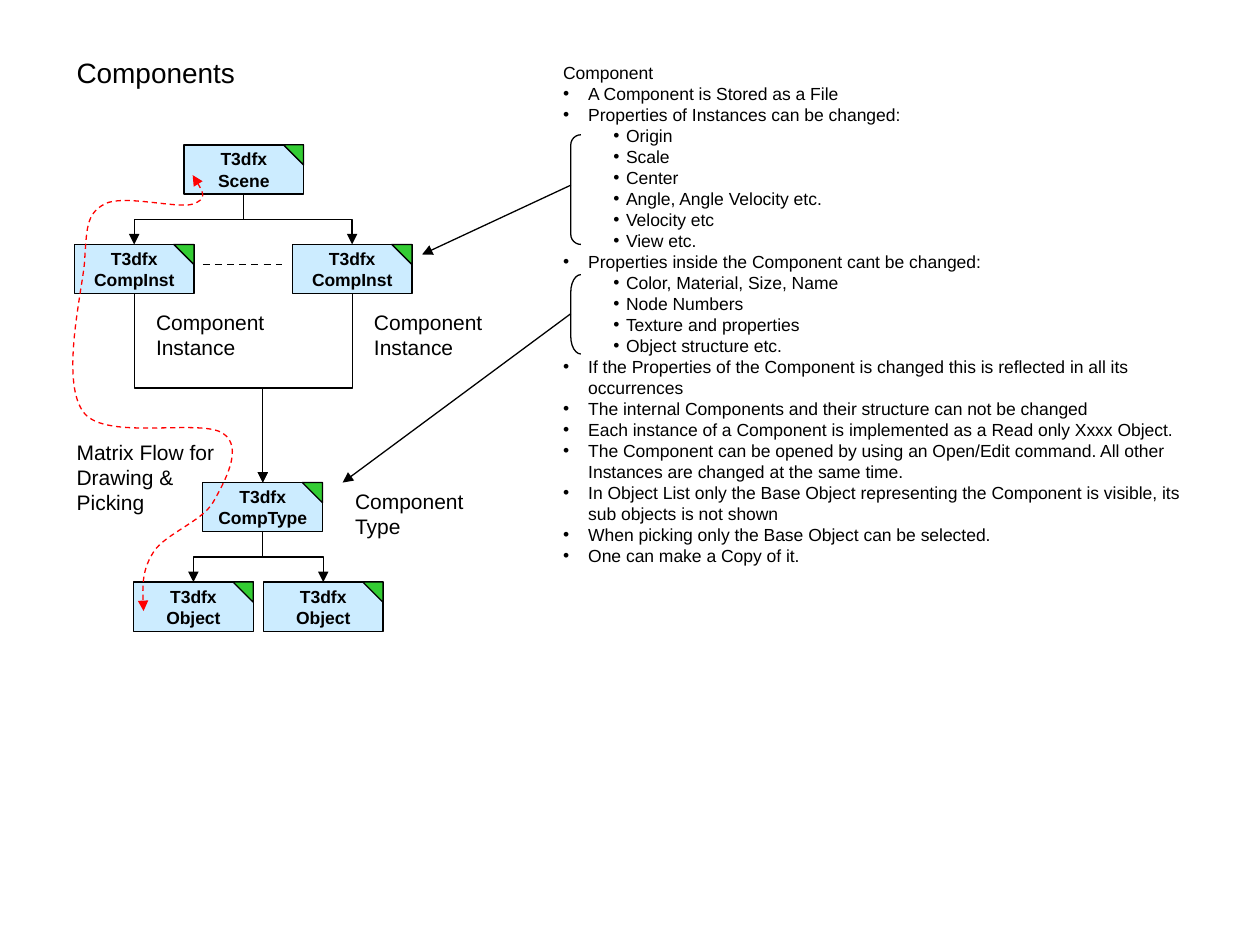
from lxml.etree import SubElement
from pptx import Presentation
from pptx.dml.color import RGBColor
from pptx.enum.dml import MSO_LINE
from pptx.enum.shapes import MSO_CONNECTOR, MSO_SHAPE
from pptx.enum.text import MSO_ANCHOR, MSO_AUTO_SIZE, PP_ALIGN
from pptx.oxml.ns import qn
from pptx.util import Inches, Pt

BLACK = RGBColor(0x00, 0x00, 0x00)
LIGHT_BLUE = RGBColor(0xCC, 0xEC, 0xFF)
GREEN = RGBColor(0x33, 0xCC, 0x33)
RED = RGBColor(0xFF, 0x00, 0x00)

NODE_WIDTH, NODE_HEIGHT, CORNER = 0.95, 0.39, 0.16
TOP, BOTTOM = 0, 2

# Name: caption, left, top (relative to the diagram)
NODES = {
    "scene": ("Scene", 0.98, 0),
    "left instance": ("CompInst", 0.11, 0.79),
    "right instance": ("CompInst", 1.84, 0.79),
    "type": ("CompType", 1.13, 2.68),
    "left object": ("Object", 0.58, 3.47),
    "right object": ("Object", 1.61, 3.47),
}
LINKS = [
    ("scene", "left instance"), ("scene", "right instance"),
    ("left instance", "type"), ("right instance", "type"),
    ("type", "left object"), ("type", "right object"),
]
# Lines, left, top, width, height (relative to the diagram)
LABELS = [
    (["Component", "Instance"], 0.66, 1.26, 1.06, 0.5),
    (["Component", "Instance"], 2.39, 1.26, 1.06, 0.5),
    (["Component", "Type"], 2.24, 2.68, 1.06, 0.5),
    (["Matrix Flow for", "Drawing &", "Picking"], 0.03, 2.29, 1.29, 0.7),
]
# Start point, then three points for each curve (relative to the diagram)
FLOW = [
    (1.05, 0.24),
    (1.11, 0.33), (1.17, 0.43), (1.05, 0.47),
    (0.94, 0.51), (0.49, 0.39), (0.35, 0.47),
    (0.20, 0.55), (0.21, 0.67), (0.19, 0.95),
    (0.16, 1.22), (0.00, 1.90), (0.19, 2.13),
    (0.37, 2.35), (1.12, 2.17), (1.29, 2.29),
    (1.46, 2.40), (1.30, 2.68), (1.21, 2.84),
    (1.12, 2.99), (0.83, 3.09), (0.74, 3.23),
    (0.65, 3.37), (0.65, 3.54), (0.66, 3.70),
]
# Level, text
NOTES = [
    (0, "A Component is Stored as a File"),
    (0, "Properties of Instances can be changed:"),
    (1, "Origin"),
    (1, "Scale"),
    (1, "Center"),
    (1, "Angle, Angle Velocity etc."),
    (1, "Velocity etc"),
    (1, "View etc."),
    (0, "Properties inside the Component cant be changed:"),
    (1, "Color, Material, Size, Name"),
    (1, "Node Numbers"),
    (1, "Texture and properties"),
    (1, "Object structure etc."),
    (0, "If the Properties of the Component is changed this is reflected in all its occurrences"),
    (0, "The internal Components and their structure can not be changed"),
    (0, "Each instance of a Component is implemented as a Read only Xxxx Object."),
    (0, "The Component can be opened by using an Open/Edit command. "
        "All other Instances are changed at the same time."),
    (0, "In Object List only the Base Object representing the Component is visible, "
        "its sub objects is not shown"),
    (0, "When picking only the Base Object can be selected."),
    (0, "One can make a Copy of it."),
]
# Top, height, corner, arrow start, arrow end (relative to the notes)
BRACKETS = [
    (0.63, 0.87, 1, 1.03, (-1.02, 1.58)),
    (1.74, 0.63, 1.75, 2.05, (-1.65, 3.39)),
]


def format_font(paragraph, size, bold=False):
    values = {"name": "Arial", "size": Pt(size), "bold": bold}
    for name, value in values.items():
        setattr(paragraph.font, name, value)
    paragraph.font.color.rgb = BLACK


def format_line(shape, color=BLACK, width=0.75, dash=None, ends=()):
    shape.line.color.rgb = color
    shape.line.width = Pt(width)
    if dash:
        shape.line.dash_style = dash
    for end in ends:
        SubElement(shape.line._get_or_add_ln(), qn(f"a:{end}"), type="triangle")


def add_text(slide, lines, left, top, width, height, size, wrap=False):
    box = slide.shapes.add_textbox(*map(Inches, (left, top, width, height)))
    box.text_frame.word_wrap = wrap
    box.text_frame.auto_size = MSO_AUTO_SIZE.SHAPE_TO_FIT_TEXT
    box.text_frame.text = "\n".join(lines)
    for paragraph in box.text_frame.paragraphs:
        format_font(paragraph, size)
    return box


def add_filled(shapes, preset, left, top, width, height, color):
    shape = shapes.add_shape(preset, *map(Inches, (left, top, width, height)))
    shape.shadow.inherit = False
    shape.fill.solid()
    shape.fill.fore_color.rgb = color
    format_line(shape)
    return shape


def add_line(slide, kind, start, end, **style):
    connector = slide.shapes.add_connector(kind, *map(Inches, (*start, *end)))
    format_line(connector, **style)
    SubElement(connector._element.spPr, qn("a:effectLst"))
    return connector


def add_node(slide, caption, left, top):
    """A blue box with a green corner; returns the box."""
    shapes = slide.shapes.add_group_shape().shapes
    box = add_filled(shapes, MSO_SHAPE.RECTANGLE, left, top, NODE_WIDTH, NODE_HEIGHT, LIGHT_BLUE)
    box.text_frame.word_wrap = False
    box.text_frame.vertical_anchor = MSO_ANCHOR.MIDDLE
    paragraph = box.text_frame.paragraphs[0]
    paragraph.text = f"T3dfx\v{caption}"
    paragraph.alignment = PP_ALIGN.CENTER
    format_font(paragraph, 10, bold=True)
    corner = add_filled(shapes, MSO_SHAPE.RIGHT_TRIANGLE, left + NODE_WIDTH - CORNER, top,
                        CORNER, CORNER, GREEN)
    corner.rotation = 90
    corner._element.spPr.find(qn("a:xfrm")).set("flipV", "1")
    return box


def link_nodes(slide, parent, child):
    """An elbow arrow that leaves the parent downwards and enters the child from above."""
    connector = add_line(slide, MSO_CONNECTOR.ELBOW, (0, 0), (1, 1), ends=["tailEnd"])
    connector.begin_connect(parent, BOTTOM)
    connector.end_connect(child, TOP)
    start_x, start_y = connector.begin_x, connector.begin_y
    across, down = connector.end_x - start_x, connector.end_y - start_y
    # The preset runs sideways, so it is turned about its centre
    connector.left = start_x + (across - down) // 2
    connector.top = start_y + (down - abs(across)) // 2
    connector.width, connector.height = down, abs(across)
    transform = connector._element.spPr.find(qn("a:xfrm"))
    transform.attrib.clear()
    transform.set("rot", str((270 if across > 0 else 90) * 60000))
    if across > 0:
        transform.set("flipH", "1")


def add_flow(slide, points, left, top):
    """A dashed red curve with an arrowhead at each end."""
    places = [(Inches(left + x), Inches(top + y)) for x, y in points]
    builder = slide.shapes.build_freeform(*places[0])
    builder.add_line_segments(places[1:], close=False)
    curve = builder.convert_to_shape()
    curve.shadow.inherit = False
    curve.fill.background()
    format_line(curve, RED, dash=MSO_LINE.DASH, ends=["headEnd", "tailEnd"])
    # Each three line segments become one Bézier segment
    outline = curve._element.spPr.find(".//" + qn("a:path"))
    segments = outline.findall(qn("a:lnTo"))
    for first in range(0, len(segments), 3):
        bezier = SubElement(outline, qn("a:cubicBezTo"))
        for segment in segments[first:first + 3]:
            bezier.append(segment[0])
            outline.remove(segment)


def add_diagram(slide, left, top):
    boxes = {name: add_node(slide, caption, left + x, top + y)
             for name, (caption, x, y) in NODES.items()}
    for parent, child in LINKS:
        link_nodes(slide, boxes[parent], boxes[child])
    add_line(slide, MSO_CONNECTOR.STRAIGHT, (left + 1.13, top + 0.95), (left + 1.76, top + 0.95),
             width=1, dash=MSO_LINE.DASH)
    for lines, x, y, width, height in LABELS:
        add_text(slide, lines, left + x, top + y, width, height, 12)
    add_flow(slide, FLOW, left, top)


def add_notes(slide, left, top, width, height):
    lines = ["Component"] + [text for _, text in NOTES]
    box = add_text(slide, lines, left, top, width, height, 10, wrap=True)
    for (level, _), paragraph in zip(NOTES, box.text_frame.paragraphs[1:]):
        margin, indent = [(0.2, -0.2), (0.5, -0.1)][level]
        paragraph.level = level
        properties = paragraph._p.get_or_add_pPr()
        properties.set("marL", str(Inches(margin)))
        properties.set("indent", str(Inches(indent)))
        bullet_parts = [("a:buFont", {"typeface": "Arial"}), ("a:buChar", {"char": "•"})]
        for position, (tag, values) in enumerate(bullet_parts):
            properties.insert(position, properties.makeelement(qn(tag), values))
    # Brackets, with arrows to the diagram
    for y, bracket_height, corner, start_y, (end_x, end_y) in BRACKETS:
        bracket = slide.shapes.add_shape(MSO_SHAPE.LEFT_BRACKET, *map(
            Inches, (left + 0.16, top + y, 0.08, bracket_height)))
        bracket.adjustments[0] = corner
        bracket.shadow.inherit = False
        bracket.fill.background()
        format_line(bracket)
        add_line(slide, MSO_CONNECTOR.STRAIGHT, (left + 0.16, top + start_y),
                 (left + end_x, top + end_y), ends=["tailEnd"])


def main():
    presentation = Presentation()
    presentation.slide_width, presentation.slide_height = Inches(10), Inches(7.5)
    slide = presentation.slides.add_slide(presentation.slide_layouts[6])
    add_text(slide, ["Components"], 0.51, 0.39, 1.47, 0.37, 16)
    add_diagram(slide, 0.48, 1.15)
    add_notes(slide, 4.37, 0.44, 5.12, 4.11)
    presentation.save("out.pptx")


if __name__ == "__main__":
    main()
